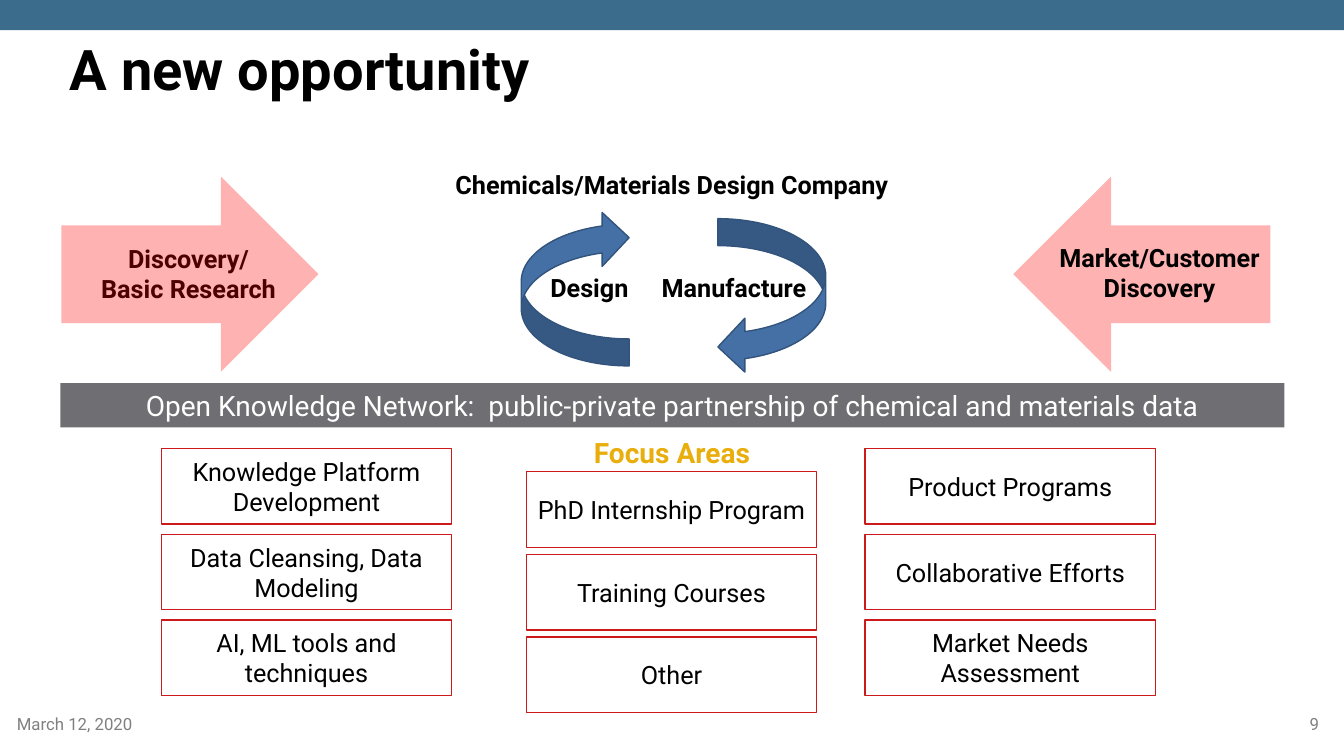
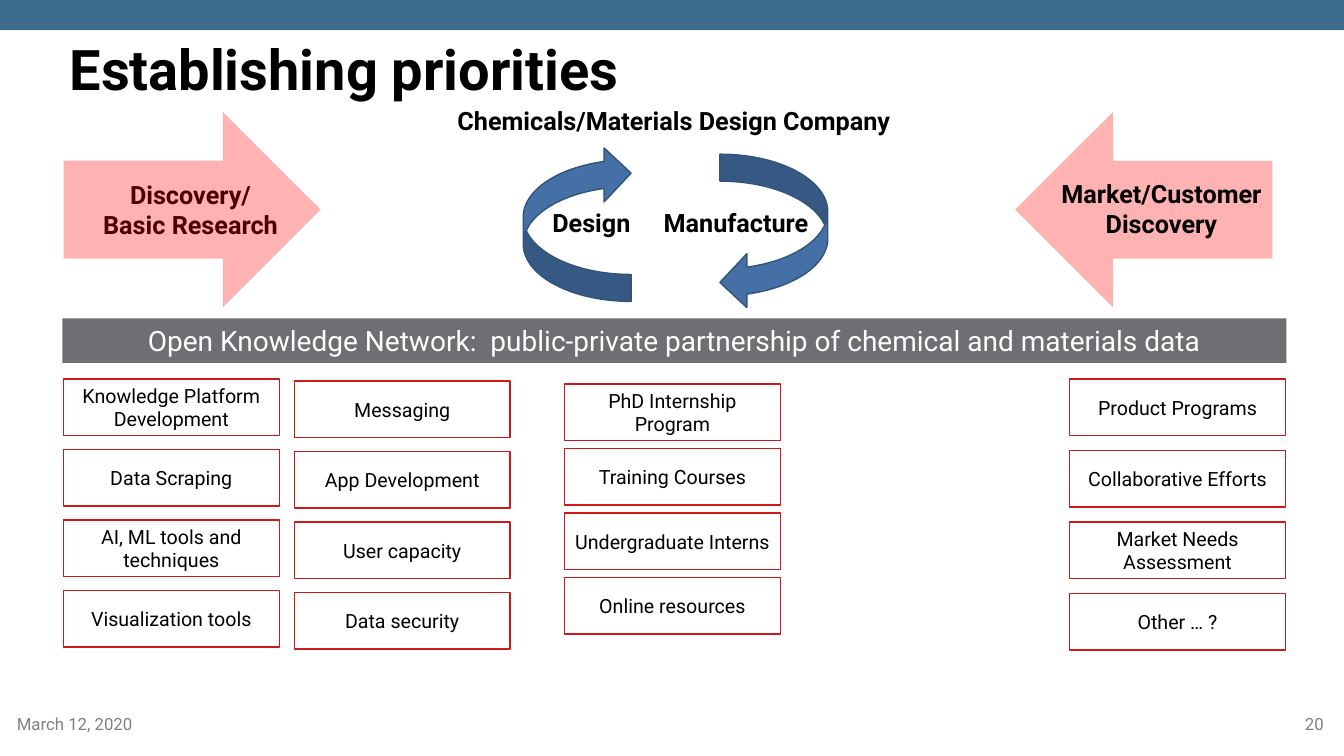
from lxml.etree import SubElement
from pptx import Presentation
from pptx.dml.color import RGBColor
from pptx.enum.shapes import MSO_SHAPE
from pptx.enum.text import MSO_ANCHOR, MSO_AUTO_SIZE, PP_ALIGN
from pptx.oxml.ns import qn
from pptx.util import Inches, Pt

FONT = "Roboto"
COLORS = {
    "band": "3C6C8C", "text": "000000", "footer": "808080", "white": "FFFFFF",
    "cycle": "4470A6", "cycle_edge": "32537B", "force": "FF0000",
    "network": "6F6F73", "focus": "E9AE0C", "box_edge": "CC1919",
}

# Each column: left, first top, step between tops, topics
PAGES = [
    {
        "title": "A new opportunity", "number": "9", "shift": (0, 0),
        "heading": "Focus Areas", "box_size": (2.88, 0.75), "text_size": 18,
        "columns": [
            (1.6, 4.45, 0.85, ["Knowledge Platform Development",
                               "Data Cleansing, Data Modeling",
                               "AI, ML tools and techniques"]),
            (5.22, 4.68, 0.82, ["PhD Internship Program", "Training Courses", "Other"]),
            (8.58, 4.45, 0.85, ["Product Programs", "Collaborative Efforts",
                                "Market Needs Assessment"]),
        ],
    },
    {
        "title": "Establishing priorities", "number": "20", "shift": (0.02, -0.64),
        "heading": None, "box_size": (2.14, 0.56), "text_size": 14,
        "columns": [
            (0.63, 3.76, 0.7, ["Knowledge Platform Development", "Data Scraping",
                               "AI, ML tools and techniques", "Visualization tools"]),
            (2.92, 3.78, 0.7, ["Messaging", "App Development", "User capacity",
                               "Data security"]),
            (5.6, 3.81, 0.64, ["PhD Internship Program", "Training Courses",
                               "Undergraduate Interns", "Online resources"]),
            (10.61, 3.76, 0.71, ["Product Programs", "Collaborative Efforts",
                                 "Market Needs Assessment", "Other … ?"]),
        ],
    },
]


def write(frame, text, size, color="text", bold=False, align=PP_ALIGN.CENTER, wrap=True):
    frame.text = text
    frame.word_wrap = wrap
    frame.auto_size = MSO_AUTO_SIZE.NONE
    frame.vertical_anchor = MSO_ANCHOR.MIDDLE
    for paragraph in frame.paragraphs:
        paragraph.alignment = align
        paragraph.font.name = FONT
        paragraph.font.size = Pt(size)
        paragraph.font.bold = bold
        paragraph.font.color.rgb = RGBColor.from_string(COLORS[color])


def add_block(slide, preset, left, top, width, height, fill, edge=None):
    block = slide.shapes.add_shape(
        preset, Inches(left), Inches(top), Inches(width), Inches(height))
    block.shadow.inherit = False
    block.fill.solid()
    block.fill.fore_color.rgb = RGBColor.from_string(COLORS[fill])
    if edge:
        block.line.color.rgb = RGBColor.from_string(COLORS[edge])
        block.line.width = Pt(1)
    else:
        block.line.fill.background()
    return block


prs = Presentation()
prs.slide_width, prs.slide_height = Inches(13.33), Inches(7.5)
layout = prs.slide_layouts.get_by_name("Title Only")

# Shared title position and top band, held by the layout
layout_title = layout.placeholders[0]
layout_title.left, layout_title.top = Inches(0.59), Inches(0.3)
layout_title.width, layout_title.height = Inches(12.15), Inches(0.83)
slides = [prs.slides.add_slide(layout) for page in PAGES]
band = add_block(slides[0], MSO_SHAPE.RECTANGLE, 0, 0, 13.33, 0.3, "band")
band.element.nvSpPr.cNvPr.set("id", "20")
layout.shapes.element.insert(2, band.element)

for slide, page in zip(slides, PAGES):
    dx, dy = page["shift"]

    # Title and footer
    title = slide.shapes.title.text_frame
    write(title, page["title"], 40, bold=True, align=PP_ALIGN.LEFT)
    title.paragraphs[0].line_spacing = 0.9
    for left, width, text in [(0, 1.48, "March 12, 2020"), (12.74, 0.59, page["number"])]:
        footer = slide.shapes.add_textbox(
            Inches(left), Inches(7.08), Inches(width), Inches(0.2))
        write(footer.text_frame, text, 12, "footer")

    # Design and manufacture cycle
    for left, top, flip in [(5.17, 2.09, "flipH"), (7.12, 2.17, "flipV")]:
        cycle = add_block(slide, MSO_SHAPE.CURVED_RIGHT_ARROW, left + dx, top + dy,
                          1.07, 1.54, "cycle", "cycle_edge")
        cycle.rotation = 180
        cycle.element.spPr.find(qn("a:xfrm")).set(flip, "1")

    # Labels, with the translucent arrows of research and market
    for left, top, width, height, text, force in [
        (4.41, 1.63, 4.51, 0.4, "Chemicals/Materials Design Company", None),
        (5.35, 2.65, 0.99, 0.4, "Design", None),
        (6.45, 2.65, 1.66, 0.4, "Manufacture", None),
        (0.89, 2.36, 1.96, 0.71, "Discovery/\nBasic Research", (0.61, 0)),
        (10.39, 2.35, 2.22, 0.71, "Market/Customer\nDiscovery", (10.05, 180)),
    ]:
        label = slide.shapes.add_textbox(
            Inches(left + dx), Inches(top + dy), Inches(width), Inches(height))
        write(label.text_frame, text, 18, bold=True, wrap=False)
        if force:
            force_left, rotation = force
            arrow = add_block(slide, MSO_SHAPE.RIGHT_ARROW, force_left + dx, 1.75 + dy,
                              2.55, 1.94, "force")
            arrow.rotation = rotation
            red = arrow.element.spPr.find(qn("a:solidFill")).find(qn("a:srgbClr"))
            SubElement(red, qn("a:alpha")).set("val", "30000")
    # The market label stands in front of its arrow
    arrow.element.addnext(label.element)

    # Open Knowledge Network bar
    network = add_block(slide, MSO_SHAPE.RECTANGLE, 0.6 + dx, 3.8 + dy, 12.14, 0.44, "network")
    write(network.text_frame,
          "Open Knowledge Network:  public-private partnership of chemical and materials data",
          20, "white")

    # Focus areas
    if page["heading"]:
        heading = slide.shapes.add_textbox(
            Inches(5.72), Inches(4.27), Inches(1.89), Inches(0.44))
        write(heading.text_frame, page["heading"], 20, "focus", bold=True)
    for left, first_top, step, topics in page["columns"]:
        for row, topic in enumerate(topics):
            box = add_block(slide, MSO_SHAPE.RECTANGLE, left, first_top + row * step,
                            *page["box_size"], "white", "box_edge")
            write(box.text_frame, topic, page["text_size"])

prs.save("out.pptx")
